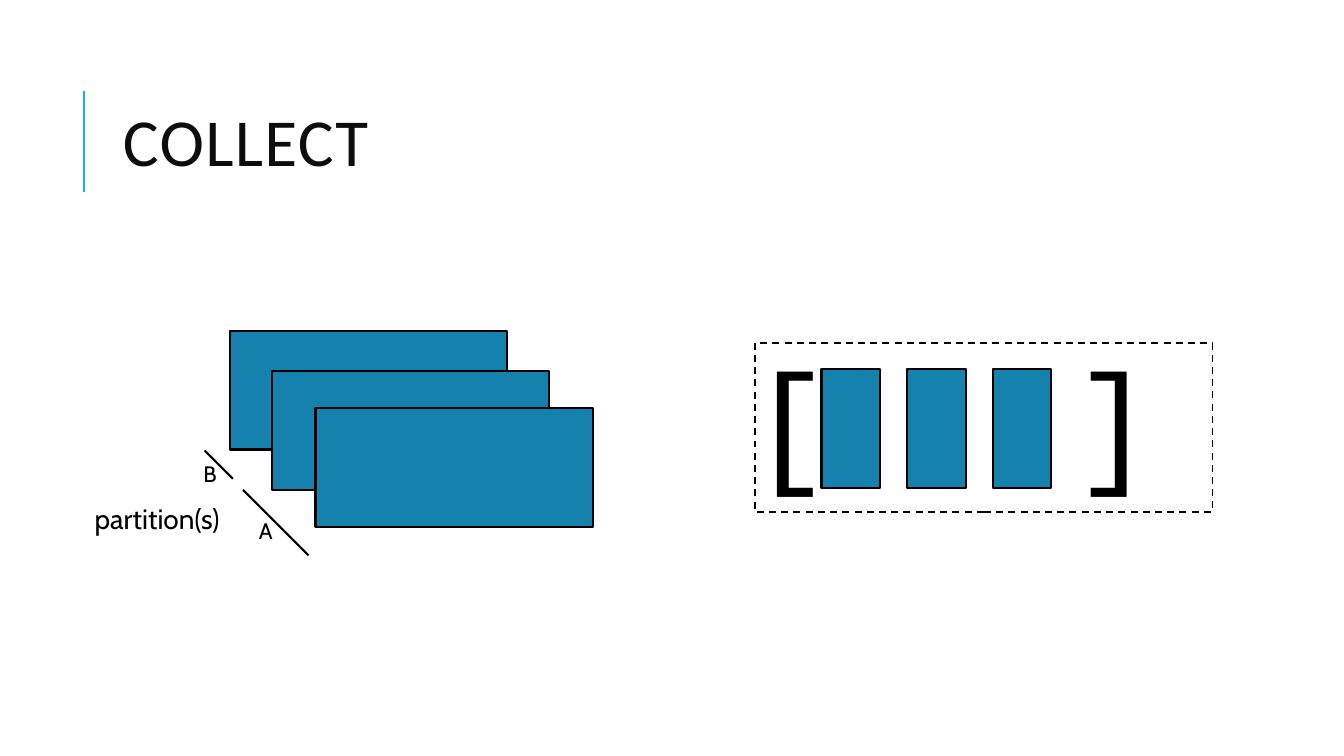
from lxml import etree
from pptx import Presentation
from pptx.dml.color import RGBColor
from pptx.enum.dml import MSO_LINE
from pptx.enum.shapes import MSO_CONNECTOR, MSO_SHAPE
from pptx.enum.text import MSO_ANCHOR, PP_ALIGN
from pptx.oxml.ns import qn
from pptx.util import Inches, Pt

RECTANGLE = MSO_SHAPE.RECTANGLE
STRAIGHT = MSO_CONNECTOR.STRAIGHT
DASH = MSO_LINE.DASH
MIDDLE = MSO_ANCHOR.MIDDLE
LEFT = PP_ALIGN.LEFT

BLACK = RGBColor(0x00, 0x00, 0x00)
INK = RGBColor(0x0D, 0x0D, 0x0D)
BLUE = RGBColor(0x14, 0x82, 0xAC)
ACCENT = RGBColor(0x1C, 0xAD, 0xE4)

# The slide is a grid of 160 columns by 90 rows of square cells
COLUMNS, ROWS = 160, 90
CELL = Inches(7.5) / ROWS
BLOCK_HEIGHT = 14.16


def cells(*counts):
    return [round(count * CELL) for count in counts]


def add_run(paragraph, text, font_name, size, color):
    run = paragraph.add_run()
    run.text = text
    run.font.name = font_name
    run.font.size = Pt(size)
    run.font.color.rgb = color
    return run


def add_title(slide, text):
    title = slide.shapes.title
    title.left, title.top, title.width, title.height = cells(13.44, 7.68, 127.56, 19.68)
    title.text_frame.vertical_anchor = MIDDLE
    paragraph = title.text_frame.paragraphs[0]
    paragraph.alignment = LEFT
    paragraph.line_spacing = 0.8
    run = add_run(paragraph, text, "Calibri", 48, INK)
    run.font._element.set("spc", "100")


def add_box(slide, left, top, width, height, fill=None, weight=1.5):
    box = slide.shapes.add_shape(RECTANGLE, *cells(left, top, width, height))
    box.shadow.inherit = False
    if fill is None:
        box.fill.background()
    else:
        box.fill.solid()
        box.fill.fore_color.rgb = fill
    box.line.color.rgb = BLACK
    box.line.width = Pt(weight)
    return box


def add_line(slide, start, end, color=BLACK):
    line = slide.shapes.add_connector(STRAIGHT, *cells(*start, *end))
    line.line.color.rgb = color
    line.line.width = Pt(1.5)
    etree.SubElement(line._element.spPr, qn("a:effectLst"))


def add_label(slide, text, left, top, width, height, size, font_name="Cabin", tab=None):
    label = slide.shapes.add_textbox(*cells(left, top, width, height))
    label.text_frame.word_wrap = True
    paragraph = label.text_frame.paragraphs[0]
    if tab is not None:
        tab_list = etree.SubElement(paragraph._p.get_or_add_pPr(), qn("a:tabLst"))
        position = str(cells(tab)[0])
        etree.SubElement(tab_list, qn("a:tab"), pos=position, algn="l")
    add_run(paragraph, text, font_name, size, BLACK)


def add_partitions(slide):
    # Overlapping partitions, back to front
    for left, top in ((27.36, 39.36), (32.4, 44.16), (37.56, 48.6)):
        add_box(slide, left, top, 33, BLOCK_HEIGHT, BLUE)

    # Diagonal marks with their labels
    add_line(slide, (28.92, 58.32), (36.72, 66.12))
    add_line(slide, (24.36, 53.64), (27.72, 57))
    add_label(slide, "partition(s)", 10.08, 59.16, 19.44, 5.28, 20)
    add_label(slide, "A", 29.64, 60.96, 2.52, 4.44, 16)
    add_label(slide, "B", 23.04, 54.24, 2.52, 4.44, 16)


def add_collected_array(slide):
    frame = add_box(slide, 89.88, 40.8, 54.48, 20.16, weight=1.25)
    frame.line.dash_style = DASH
    add_label(slide, "[\t]", 88.2, 39.36, 55.32, 20.64, 96, "Courier New", tab=38.4)
    for index in range(3):
        add_box(slide, 97.8 + 10.2 * index, 43.92, 6.96, BLOCK_HEIGHT, BLUE)


def main():
    presentation = Presentation()
    presentation.slide_width, presentation.slide_height = cells(COLUMNS, ROWS)
    slide = presentation.slides.add_slide(presentation.slide_layouts[5])

    # Heading with its accent line
    add_line(slide, (10, 22.8), (10, 10.8), ACCENT)
    add_title(slide, "COLLECT")

    # Partitions on the left, collected array on the right
    add_partitions(slide)
    add_collected_array(slide)
    presentation.save("out.pptx")


if __name__ == "__main__":
    main()
